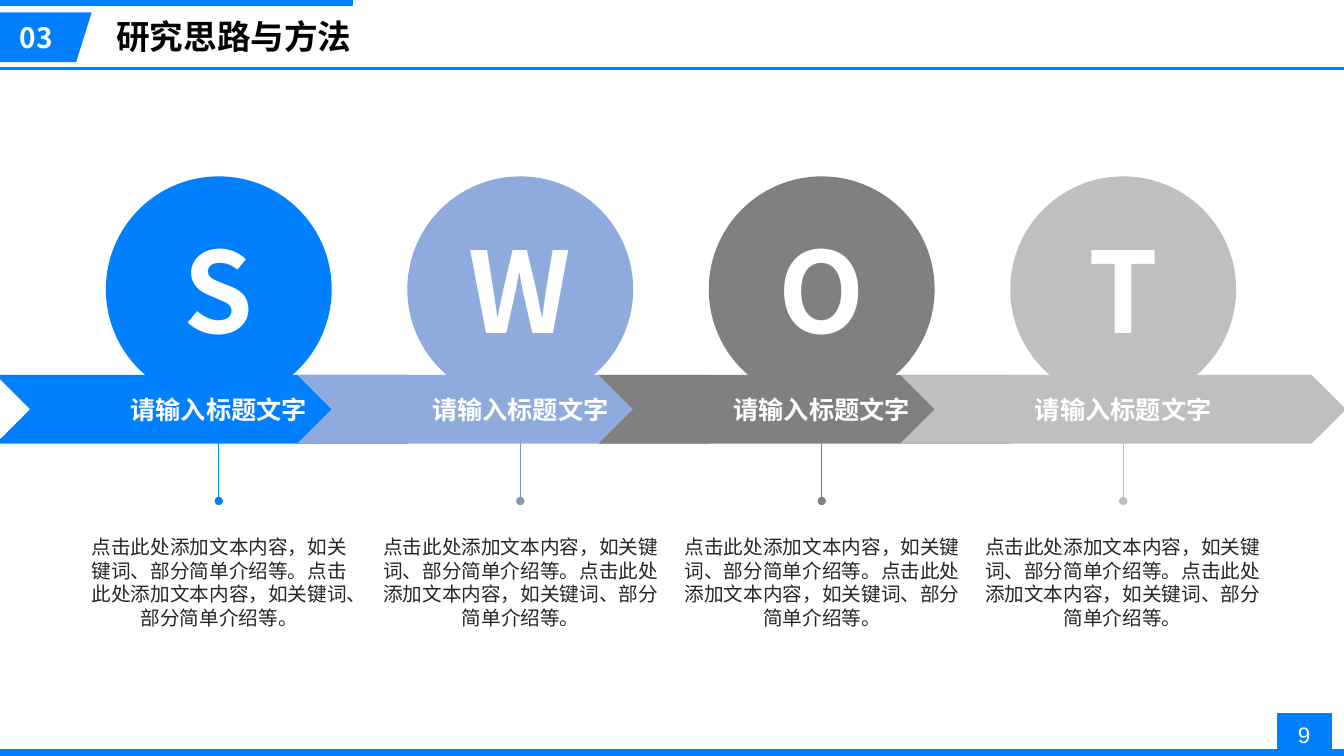
"""Build a SWOT slide with a chevron band, lettered circles and descriptions."""
import pptx
import pptx.dml.color
import pptx.enum.shapes
import pptx.enum.text
import pptx.oxml
import pptx.oxml.ns
import pptx.util

Inches = pptx.util.Inches
Pt = pptx.util.Pt
MSO = pptx.enum.shapes.MSO_SHAPE
STRAIGHT = pptx.enum.shapes.MSO_CONNECTOR.STRAIGHT
ANCHOR = pptx.enum.text.MSO_ANCHOR
FIT = pptx.enum.text.MSO_AUTO_SIZE.SHAPE_TO_FIT_TEXT
BLUE, WHITE, CJK = "0080FE", "FFFFFF", "Noto Sans CJK SC"


def paint(fill, color):
    fill.solid()
    fill.fore_color.rgb = pptx.dml.color.RGBColor.from_string(color)


def write(shape, text, size, color, font=CJK, bold=True, anchor=ANCHOR.TOP):
    tf = shape.text_frame
    tf.word_wrap = True
    tf.vertical_anchor = anchor
    p = tf.paragraphs[0]
    p.alignment = pptx.enum.text.PP_ALIGN.CENTER
    r = p.add_run()
    r.text = text
    r.font.size = Pt(size)
    r.font.bold = bold
    r.font.name = font
    paint(r.font.fill, color)
    ea = pptx.oxml.parse_xml(f'<a:ea {pptx.oxml.ns.nsdecls("a")} typeface="{CJK}"/>')
    r.font._element.find(pptx.oxml.ns.qn("a:latin")).addnext(ea)


prs = pptx.Presentation()
prs.slide_width, prs.slide_height = Inches(13.33), Inches(7.5)
s = prs.slides.add_slide(prs.slide_layouts[5])

title = s.shapes.title
title.left, title.top = Inches(1.03), Inches(0.11)
title.width, title.height = Inches(2.58), Inches(0.5)
write(title, "研究思路与方法", 24, "000000")
title.text_frame.auto_size = FIT

bars = [(12.67, 7.08, 0.54, 0.42), (0, 7.44, 13.33, 0.06), (0, 0, 3.5, 0.05)]
for bar in bars:
    sp = s.shapes.add_shape(MSO.RECTANGLE, *map(Inches, bar))
    sp.shadow.inherit = False
    paint(sp.fill, BLUE)
    paint(sp.line.fill, BLUE)
    sp.line.width = Pt(0.75)

fb = s.shapes.build_freeform(0, Inches(0.13))
corners = [(0.9, 0.13), (0.75, 0.61), (0, 0.61)]
fb.add_line_segments([(Inches(x), Inches(y)) for x, y in corners], close=True)
tag = fb.convert_to_shape()
tag.shadow.inherit = False
paint(tag.fill, BLUE)
paint(tag.line.fill, BLUE)
tag.line.width = Pt(1)

number = s.shapes.add_textbox(0, Inches(0.15), Inches(0.72), Inches(0.44))
write(number, "03", 20, WHITE)
page = s.shapes.add_textbox(Inches(12.77), Inches(7.11), Inches(0.33), Inches(0.37))
write(page, "9", 16, WHITE, "Arial", False)
page.text_frame.word_wrap = False

centers = [2.17 + 2.99 * i for i in range(4)]
stem_colors = [BLUE, "8497B0", "808080", "BFBFBF"]
lines = [(0, 0.68, 13.33, 0.68, BLUE, 2, "none")]
lines += [(x, 3.15, x, 4.97, color, 0.75, "oval") for x, color in zip(centers, stem_colors)]
for x1, y1, x2, y2, color, width, tail in lines:
    cn = s.shapes.add_connector(STRAIGHT, Inches(x1), Inches(y1), Inches(x2), Inches(y2))
    paint(cn.line.fill, color)
    cn.line.width = Pt(width)
    ns = pptx.oxml.ns.nsdecls("a")
    cn.line._get_or_add_ln().append(pptx.oxml.parse_xml(f'<a:tailEnd {ns} type="{tail}"/>'))
    cn._element.spPr.append(pptx.oxml.parse_xml(f"<a:effectLst {ns}/>"))

description = "点击此处添加文本内容，如关键词、部分简单介绍等。" * 2
columns = [
    ("S", BLUE, 1.12, 0.72, 2.91),
    ("W", "8FAADC", 1.73, 3.67, 2.99),
    ("O", "808080", 1.63, 6.66, 2.99),
    ("T", "BFBFBF", 0.96, 9.58, 3.11),
]
for x, (letter, color, letter_width, text_left, text_width) in zip(centers, columns):
    circle = s.shapes.add_shape(
        MSO.OVAL, Inches(x - 1.12), Inches(1.75), Inches(2.24), Inches(2.24))
    chevron = s.shapes.add_shape(
        MSO.CHEVRON, Inches(x - 2.21), Inches(3.72), Inches(4.42), Inches(0.68))
    for sp in (circle, chevron):
        sp.shadow.inherit = False
        paint(sp.fill, color)
        sp.line.fill.background()
    write(chevron, "请输入标题文字", 18, WHITE, anchor=ANCHOR.MIDDLE)

    tb = s.shapes.add_textbox(
        Inches(x - letter_width / 2), Inches(2.15), Inches(letter_width), Inches(1.45))
    write(tb, letter, 80, WHITE)
    tb = s.shapes.add_textbox(
        Inches(text_left), Inches(5.26), Inches(text_width), Inches(1.04))
    write(tb, description, 14, "262626", "Arial", False)

prs.save("out.pptx")
